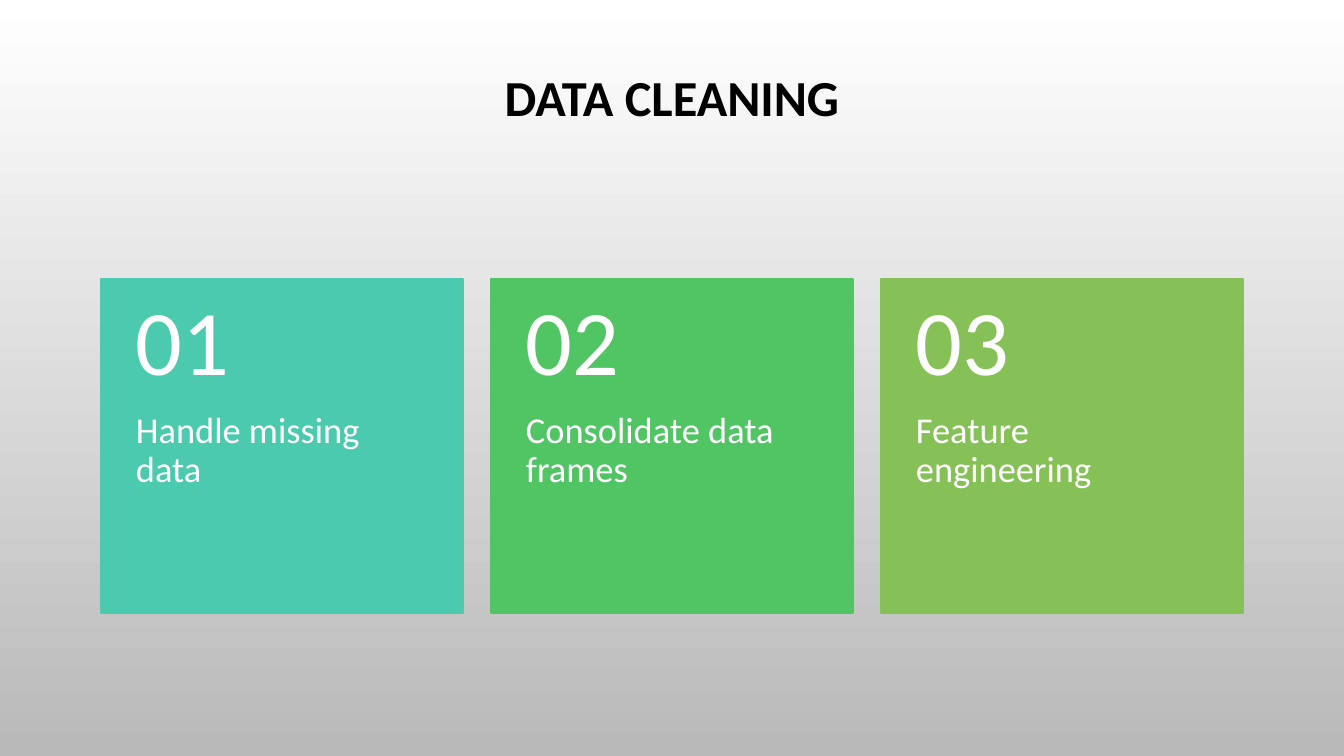
from dataclasses import dataclass

from pptx import Presentation
from pptx.dml.color import RGBColor
from pptx.enum.shapes import MSO_SHAPE
from pptx.enum.text import MSO_ANCHOR, PP_ALIGN
from pptx.util import Emu, Pt

EMU_PER_PX = 914400 / 100.8


@dataclass(frozen=True)
class Theme:
    font: str = "Calibri"
    title_size: int = 36
    number_size: int = 66
    caption_size: int = 26
    title_color: str = "000000"
    card_text: str = "FFFFFF"
    card_fills: tuple = ("4BCAAD", "51C564", "86C157")
    background: tuple = ("FFFFFF", "B9B9B9")


THEME = Theme()
STEPS = ("Handle missing data", "Consolidate data frames", "Feature engineering")


def px(length):
    return Emu(round(length * EMU_PER_PX))


def rgb(color):
    return RGBColor.from_string(color)


def add_text(slide, box, text, size, color, insets=(0, 0, 0, 0),
             anchor=MSO_ANCHOR.TOP, align=PP_ALIGN.LEFT, bold=False):
    shape = slide.shapes.add_textbox(*map(px, box))
    frame = shape.text_frame
    frame.word_wrap = True
    frame.vertical_anchor = anchor
    (frame.margin_left, frame.margin_top,
     frame.margin_right, frame.margin_bottom) = map(px, insets)
    paragraph = frame.paragraphs[0]
    paragraph.alignment = align
    paragraph.line_spacing = 0.9
    run = paragraph.add_run()
    run.text = text
    run.font.name = THEME.font
    run.font.size = Pt(size)
    run.font.bold = bold
    run.font.color.rgb = rgb(color)


def paint_background(slide):
    fill = slide.background.fill
    fill.gradient()
    fill.gradient_angle = 270  # white at the top
    for stop, color in zip(fill.gradient_stops, THEME.background):
        stop.color.rgb = rgb(color)


def add_title(slide, box):
    add_text(slide, box, "DATA CLEANING", THEME.title_size, THEME.title_color,
             align=PP_ALIGN.CENTER, bold=True)


def add_card(slide, box, number, caption, color):
    left, top, width, height = box
    number_height = height * 2 // 5
    side, edge = 35, 18

    # Panel
    panel = slide.shapes.add_shape(MSO_SHAPE.RECTANGLE, *map(px, box))
    panel.shadow.inherit = False
    panel.fill.solid()
    panel.fill.fore_color.rgb = rgb(color)
    panel.line.color.rgb = rgb(color)
    panel.line.width = Pt(1.25)

    # Caption below the number
    add_text(slide, (left, top + number_height, width, height - number_height),
             caption, THEME.caption_size, THEME.card_text,
             insets=(side, 0, side, 2 * edge))
    add_text(slide, (left, top, width, number_height),
             f"{number:02d}", THEME.number_size, THEME.card_text,
             insets=(side, edge, side, edge), anchor=MSO_ANCHOR.MIDDLE)


def add_card_row(slide, box, gap):
    left, top, width, height = box
    card_width = (width - gap * (len(STEPS) - 1)) // len(STEPS)
    for index, (caption, color) in enumerate(zip(STEPS, THEME.card_fills)):
        card_left = left + index * (card_width + gap)
        add_card(slide, (card_left, top, card_width, height),
                 index + 1, caption, color)


def main():
    presentation = Presentation()
    presentation.slide_width = px(1344)
    presentation.slide_height = px(756)
    slide = presentation.slides.add_slide(presentation.slide_layouts[6])
    paint_background(slide)
    add_title(slide, (101, 73, 1142, 56))
    add_card_row(slide, (101, 279, 1142, 334), gap=28)
    presentation.save("out.pptx")


if __name__ == "__main__":
    main()
